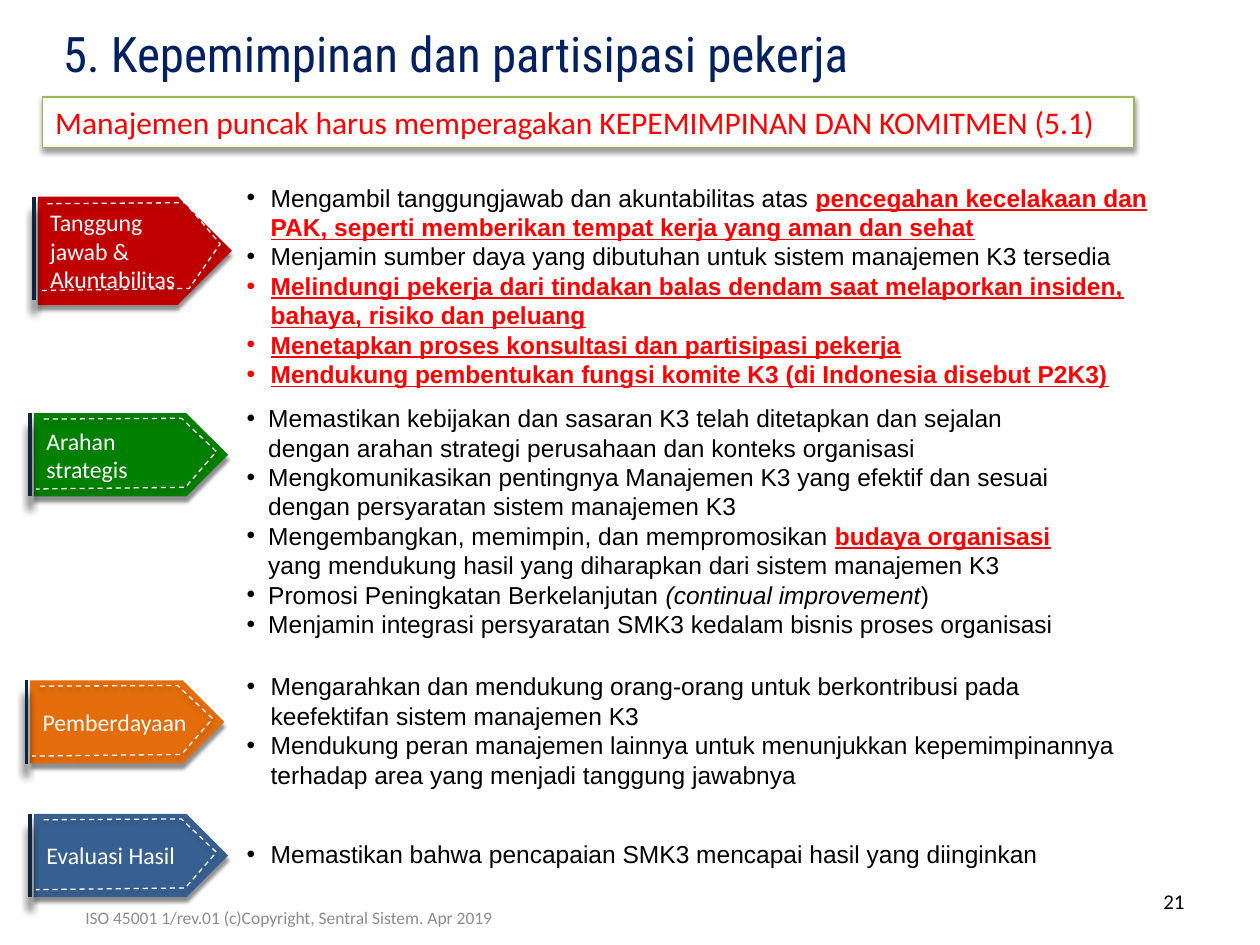
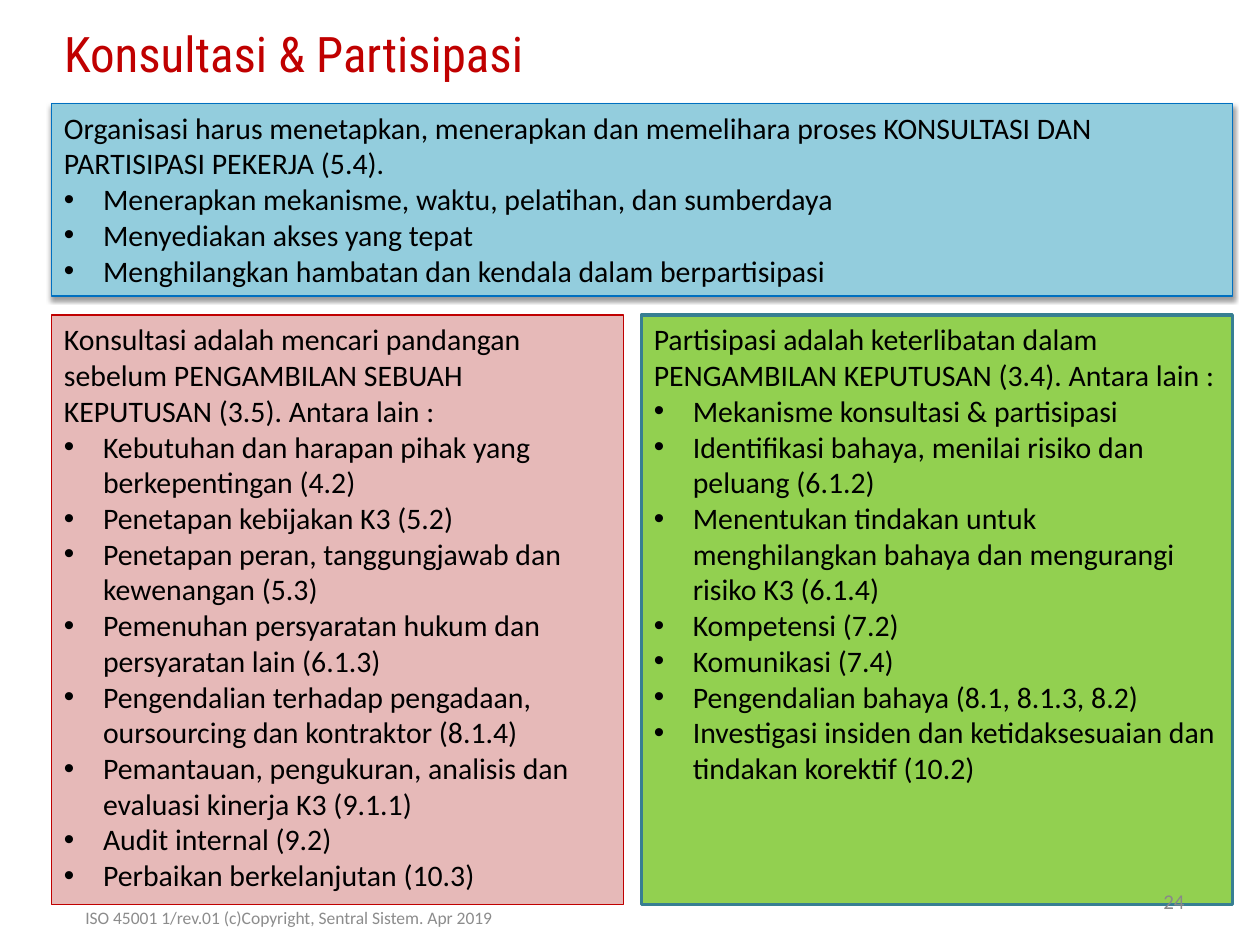
from dataclasses import dataclass, field

from lxml.etree import SubElement
from pptx import Presentation
from pptx.dml.color import RGBColor
from pptx.enum.dml import MSO_LINE_DASH_STYLE as Dash
from pptx.enum.shapes import MSO_CONNECTOR as Connector
from pptx.enum.shapes import MSO_SHAPE as Shape
from pptx.enum.text import MSO_ANCHOR as Anchor
from pptx.enum.text import PP_ALIGN as Align
from pptx.oxml.ns import qn
from pptx.util import Inches, Pt

COLUMNS, ROWS = 100, 75
SLIDE_WIDTH, SLIDE_HEIGHT = Inches(10), Inches(7.5)
BLANK_LAYOUT = 6


@dataclass(frozen=True)
class Box:
    left: float
    top: float
    width: float
    height: float

    def at(self, across, down):
        x = (self.left + across * self.width) * SLIDE_WIDTH / COLUMNS
        y = (self.top + down * self.height) * SLIDE_HEIGHT / ROWS
        return round(x), round(y)

    def emu(self):
        x, y = self.at(0, 0)
        right, bottom = self.at(1, 1)
        return x, y, right - x, bottom - y


@dataclass(frozen=True)
class TextStyle:
    font: str
    size: float
    color: str
    align: Align = Align.LEFT
    anchor: Anchor = Anchor.TOP
    wrap: bool = True
    margin: float = 0
    hanging: float = 0


@dataclass(frozen=True)
class Shadow:
    alpha: int
    blur: float
    distance: float
    angle: int


@dataclass(frozen=True)
class Theme:
    black: str = "000000"
    white: str = "FFFFFF"
    navy: str = "002060"
    crimson: str = "C00000"
    red: str = "FF0000"
    bar: str = "0F243E"
    green: str = "008000"
    orange: str = "E46C0A"
    blue: str = "376092"
    olive_edge: str = "98B955"
    sky: str = "93CDDD"
    sky_edge: str = "0070C0"
    rose: str = "E6B9B8"
    lime: str = "92D050"
    teal_edge: str = "377F92"
    gray: str = "8C8C8C"
    number_gray: str = "898989"
    soft: Shadow = Shadow(38, 3.1, 1.6, 90)
    tag_shadow: Shadow = Shadow(43, 2, 3, 85)
    bar_shadow: Shadow = Shadow(100, 5, 8, 90)
    body: TextStyle = TextStyle("Arial", 14, "000000", margin=0.19, hanging=0.19)
    inset_body: TextStyle = TextStyle("Arial", 14, "000000", margin=0.22, hanging=0.17)
    panel: TextStyle = TextStyle("Calibri", 17, "000000", margin=0.31, hanging=0.31)
    banner: TextStyle = TextStyle("Calibri", 18, "FF0000")
    tag: TextStyle = TextStyle("Calibri", 13.6, "FFFFFF", anchor=Anchor.MIDDLE)
    footer: TextStyle = TextStyle("Calibri", 10, "8C8C8C", Align.CENTER, Anchor.MIDDLE)
    emphasis: dict = field(default_factory=lambda: {
        "plain": {},
        "strong": {"bold": True, "underline": True},
        "italic": {"italic": True},
    })


THEME = Theme()
FOOTER = "ISO 45001 1/rev.01 (c)Copyright, Sentral Sistem. Apr 2019"
FOOTER_BOX = Box(0, 70.8, 45.8, 4)
NUMBER_BOX = Box(71.7, 69.5, 23.3, 4)
OUTLINE_SHARES = [(0.05, 0.07), (0.76, 0.06), (0.94, 0.46), (0.78, 0.89), (0.01, 0.91)]


def rgb(value):
    return RGBColor.from_string(value)


def apply(target, values):
    for name, value in values.items():
        setattr(target, name, value)


def set_shadow(shape, shadow=None):
    effects = SubElement(shape.element.spPr, qn("a:effectLst"))
    if shadow is None:
        return
    outer = SubElement(effects, qn("a:outerShdw"), blurRad=str(Pt(shadow.blur)),
                       dist=str(Pt(shadow.distance)), dir=str(shadow.angle * 60000),
                       algn="ctr", rotWithShape="0")
    color = SubElement(outer, qn("a:srgbClr"), val=THEME.black)
    SubElement(color, qn("a:alpha"), val=str(shadow.alpha * 1000))


def set_line(shape, color, width, dash=None):
    shape.line.color.rgb = rgb(color)
    apply(shape.line, {"width": Pt(width), "dash_style": dash})


def add_bullet(paragraph, style):
    properties = paragraph._p.get_or_add_pPr()
    properties.set("marL", str(Inches(style.margin)))
    properties.set("indent", str(-Inches(style.hanging)))
    SubElement(properties, qn("a:buFont"), typeface="Arial")
    SubElement(properties, qn("a:buChar"), char="•")


def write(shape, style, lead=(), bullets=()):
    frame = shape.text_frame
    apply(frame, {"word_wrap": style.wrap, "vertical_anchor": style.anchor})
    entries = [(text, False) for text in lead] + [(text, True) for text in bullets]
    for index, (content, bulleted) in enumerate(entries):
        paragraph = frame.add_paragraph() if index else frame.paragraphs[0]
        paragraph.alignment = style.align
        if bulleted:
            add_bullet(paragraph, style)
        runs = [(content, "plain")] if isinstance(content, str) else content
        for text, emphasis in runs:
            run = paragraph.add_run()
            run.text = text
            apply(run.font, {"name": style.font, "size": Pt(style.size),
                             **THEME.emphasis[emphasis]})
            run.font.color.rgb = rgb(THEME.red if emphasis == "strong" else style.color)


def add_text(slide, box, style, lead=(), bullets=()):
    write(slide.shapes.add_textbox(*box.emu()), style, lead, bullets)


def add_panel(slide, box, style, fill, edge, width=0.75, shadow=None, lead=(), bullets=()):
    panel = slide.shapes.add_shape(Shape.RECTANGLE, *box.emu())
    panel.fill.solid()
    panel.fill.fore_color.rgb = rgb(fill)
    set_line(panel, edge, width)
    set_shadow(panel, shadow)
    write(panel, style, lead, bullets)


def add_tag(slide, box, label, color, plate_share=1):
    shapes = slide.shapes.add_group_shape().shapes
    plate_box = Box(box.left, box.top, box.width, box.height * plate_share)
    plate = shapes.add_shape(Shape.PENTAGON, *plate_box.emu())
    plate.fill.solid()
    plate.fill.fore_color.rgb = rgb(color)
    plate.line.fill.background()
    set_shadow(plate, THEME.tag_shadow)
    write(plate, THEME.tag, [label])

    bar = shapes.add_connector(Connector.STRAIGHT, *box.at(-0.02, 0), *box.at(-0.02, 1))
    set_line(bar, THEME.bar, 2)
    set_shadow(bar, THEME.bar_shadow)

    start, *rest = [box.at(*share) for share in OUTLINE_SHARES]
    builder = shapes.build_freeform(*start)
    builder.add_line_segments(rest, close=False)
    outline = builder.convert_to_shape()
    outline.fill.background()
    set_line(outline, THEME.white, 0.75, Dash.DASH)
    set_shadow(outline, THEME.soft)


def add_frame(slide, title, title_box, title_color, number, number_color):
    title_style = TextStyle("Roboto Condensed", 28, title_color, Align.CENTER, wrap=False)
    number_style = TextStyle("Calibri", 12, number_color, Align.RIGHT, Anchor.MIDDLE)
    add_text(slide, title_box, title_style, [title])
    add_text(slide, NUMBER_BOX, number_style, [number])
    add_text(slide, FOOTER_BOX, THEME.footer, [FOOTER])


LEADERSHIP = [
    ("Tanggung jawab & Akuntabilitas", THEME.crimson, Box(3, 15.6, 15.4, 8.2), 1.05,
     Box(18.6, 14, 76.4, 17.5), THEME.body, [
         [("Mengambil tanggungjawab dan akuntabilitas atas ", "plain"),
          ("pencegahan kecelakaan dan PAK, seperti memberikan tempat kerja yang aman dan sehat",
           "strong")],
         "Menjamin sumber daya yang dibutuhan untuk sistem manajemen K3 tersedia",
         [("Melindungi pekerja dari tindakan balas dendam saat melaporkan insiden, "
           "bahaya, risiko dan peluang", "strong")],
         [("Menetapkan proses konsultasi dan partisipasi pekerja", "strong")],
         [("Mendukung pembentukan fungsi komite K3 (di Indonesia disebut P2K3)", "strong")],
     ]),
    ("Arahan strategis", THEME.green, Box(2.7, 32.8, 15.4, 6.6), 1,
     Box(18.1, 31.5, 68.2, 19.8), THEME.inset_body, [
         "Memastikan kebijakan dan sasaran K3 telah ditetapkan dan sejalan "
         "dengan arahan strategi perusahaan dan konteks organisasi",
         "Mengkomunikasikan pentingnya Manajemen K3 yang efektif dan sesuai "
         "dengan persyaratan sistem manajemen K3",
         [("Mengembangkan, memimpin, dan mempromosikan ", "plain"),
          ("budaya organisasi ", "strong"),
          ("yang mendukung hasil yang diharapkan dari sistem manajemen K3", "plain")],
         [("Promosi Peningkatan Berkelanjutan ", "plain"),
          ("(continual improvement", "italic"), (")", "plain")],
         "Menjamin integrasi persyaratan SMK3 kedalam bisnis proses organisasi",
     ]),
    ("Pemberdayaan", THEME.orange, Box(2.4, 54, 15.4, 6.6), 1,
     Box(18.6, 52.8, 71.4, 10.4), THEME.body, [
         "Mengarahkan dan mendukung orang-orang untuk berkontribusi pada "
         "keefektifan sistem manajemen K3",
         "Mendukung peran manajemen lainnya untuk menunjukkan kepemimpinannya "
         "terhadap area yang menjadi tanggung jawabnya",
     ]),
    ("Evaluasi Hasil", THEME.blue, Box(2.7, 64.6, 15.4, 6.6), 1,
     Box(18.6, 66.1, 68.2, 3.4), THEME.body, [
         "Memastikan bahwa pencapaian SMK3 mencapai hasil yang diinginkan",
     ]),
]

PANELS = [
    (Box(4.1, 25, 45.4, 46.8), THEME.rose, THEME.crimson, 0.75, None,
     "Konsultasi adalah mencari pandangan sebelum PENGAMBILAN SEBUAH KEPUTUSAN (3.5). "
     "Antara lain :", [
         "Kebutuhan dan harapan pihak yang berkepentingan (4.2)",
         "Penetapan kebijakan K3 (5.2)",
         "Penetapan peran, tanggungjawab dan kewenangan (5.3)",
         "Pemenuhan persyaratan hukum dan persyaratan lain (6.1.3)",
         "Pengendalian terhadap pengadaan, oursourcing dan kontraktor (8.1.4)",
         "Pemantauan, pengukuran, analisis dan evaluasi kinerja K3 (9.1.1)",
         "Audit internal (9.2)",
         "Perbaikan berkelanjutan (10.3)",
     ]),
    (Box(50.9, 25, 46.9, 46.8), THEME.lime, THEME.teal_edge, 2, None,
     "Partisipasi adalah keterlibatan dalam PENGAMBILAN KEPUTUSAN (3.4). Antara lain :", [
         "Mekanisme konsultasi & partisipasi",
         "Identifikasi bahaya, menilai risiko dan peluang (6.1.2)",
         "Menentukan tindakan untuk menghilangkan bahaya dan mengurangi risiko K3 (6.1.4)",
         "Kompetensi (7.2)",
         "Komunikasi (7.4)",
         "Pengendalian bahaya (8.1, 8.1.3, 8.2)",
         "Investigasi insiden dan ketidaksesuaian dan tindakan korektif (10.2)",
     ]),
    (Box(4.1, 8.2, 93.7, 15.3), THEME.sky, THEME.sky_edge, 0.75, THEME.soft,
     "Organisasi harus menetapkan, menerapkan dan memelihara proses "
     "KONSULTASI DAN PARTISIPASI PEKERJA (5.4).", [
         "Menerapkan mekanisme, waktu, pelatihan, dan sumberdaya",
         "Menyediakan akses yang tepat",
         "Menghilangkan hambatan dan kendala dalam berpartisipasi",
     ]),
]


def build_leadership(slide):
    for label, color, tag_box, plate_share, text_box, style, bullets in LEADERSHIP:
        add_tag(slide, tag_box, label, color, plate_share)
        add_text(slide, text_box, style, bullets=bullets)
    add_panel(slide, Box(3.4, 7.7, 86.6, 4), THEME.banner, THEME.white, THEME.olive_edge,
              shadow=THEME.soft,
              lead=["Manajemen puncak harus memperagakan KEPEMIMPINAN DAN KOMITMEN (5.1)"])
    add_frame(slide, "5. Kepemimpinan dan partisipasi pekerja", Box(2.1, 1.4, 68.1, 5.7),
              THEME.navy, "21", THEME.black)


def build_consultation(slide):
    for box, fill, edge, width, shadow, lead, bullets in PANELS:
        add_panel(slide, box, THEME.panel, fill, edge, width, shadow, [lead], bullets)
    add_frame(slide, "Konsultasi & Partisipasi", Box(3.1, 1.4, 40.4, 5.7),
              THEME.crimson, "24", THEME.number_gray)


def main():
    presentation = Presentation()
    apply(presentation, {"slide_width": SLIDE_WIDTH, "slide_height": SLIDE_HEIGHT})
    for build in (build_leadership, build_consultation):
        build(presentation.slides.add_slide(presentation.slide_layouts[BLANK_LAYOUT]))
    presentation.save("out.pptx")


if __name__ == "__main__":
    main()
